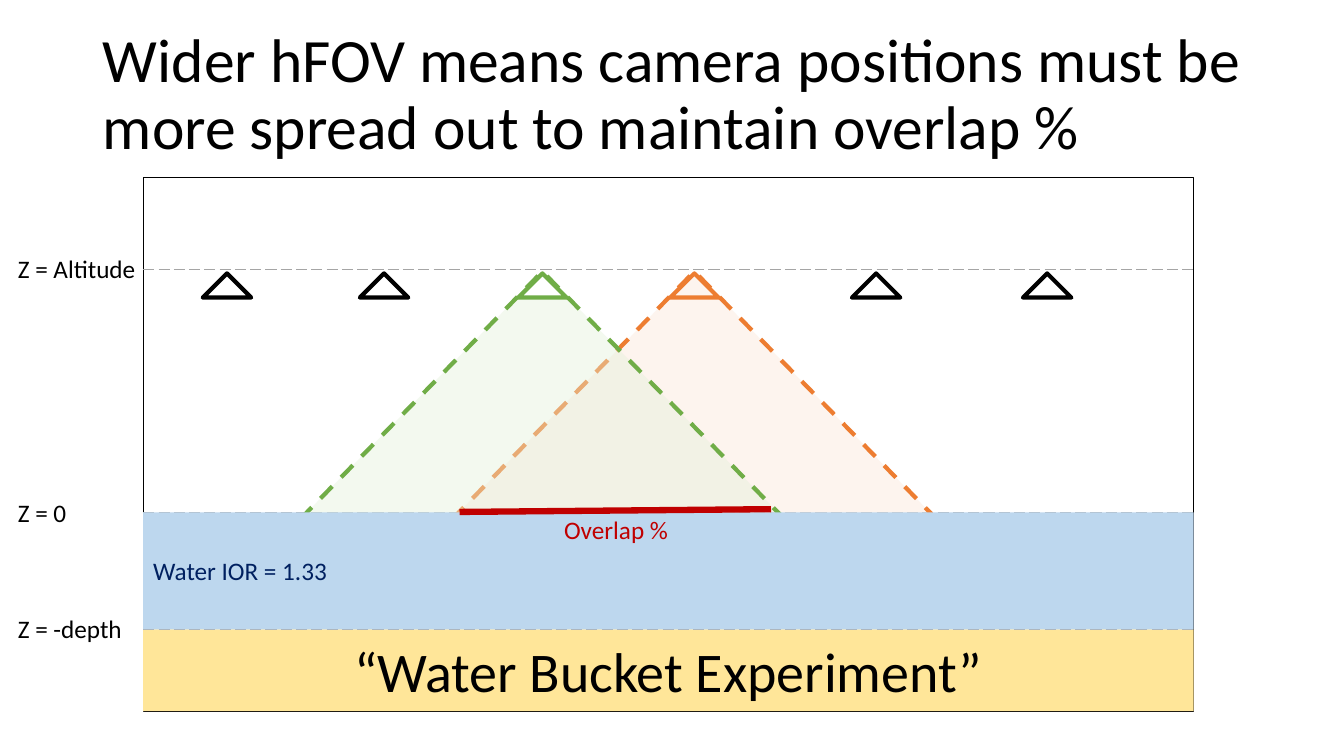
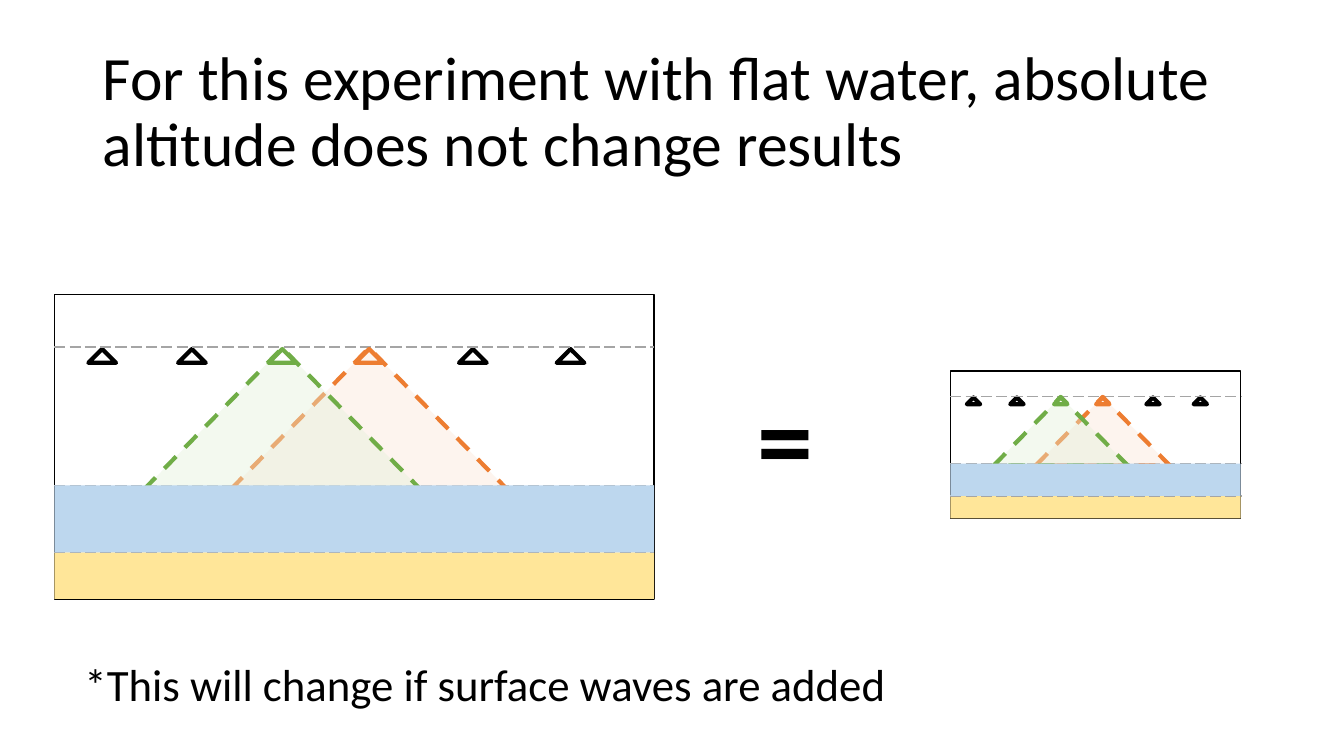
from lxml import etree
from pptx import Presentation
from pptx.dml.color import RGBColor
from pptx.enum import dml, shapes, text
from pptx.oxml import ns
from pptx.util import Cm, Pt

# Shared style
FONT = "Calibri"
BLACK = RGBColor(0x00, 0x00, 0x00)
WHITE = RGBColor(0xFF, 0xFF, 0xFF)
GREY = RGBColor(0xA5, 0xA5, 0xA5)
GREEN = RGBColor(0x70, 0xAD, 0x47)
PALE_GREEN = RGBColor(0xE2, 0xF0, 0xD9)
ORANGE = RGBColor(0xED, 0x7D, 0x31)
PALE_ORANGE = RGBColor(0xFB, 0xE5, 0xD6)
WATER = RGBColor(0xBD, 0xD7, 0xEE)
SAND = RGBColor(0xFF, 0xE6, 0x99)
NAVY = RGBColor(0x00, 0x20, 0x60)
RED = RGBColor(0xC0, 0x00, 0x00)

# Full-size scene geometry, in cm from the top left corner of the tank
TANK_W, TANK_H = 26.47, 13.44
ALTITUDE, SURFACE, SEABED = 2.31, 8.43, 11.38
CAMERA_W, CAMERA_H, CAMERA_TOP = 1.22, 0.61, 2.41
CONE_W, CONE_H, CONE_TOP = 12.22, 6.25, 2.36
IDLE_CAMERAS = (2.11, 6.07, 18.47, 22.78)
GREEN_CAMERA, ORANGE_CAMERA = 10.06, 13.89


def write(frame, wording, size, color=BLACK, align=text.PP_ALIGN.LEFT,
          anchor=text.MSO_ANCHOR.MIDDLE, spacing=None, bold=False):
    """Put one formatted run into a text frame."""
    frame.vertical_anchor = anchor
    paragraph = frame.paragraphs[0]
    paragraph.alignment = align
    if spacing:
        paragraph.line_spacing = spacing
    run = paragraph.add_run()
    run.text = wording
    run.font.name, run.font.size, run.font.bold = FONT, Pt(size), bold
    run.font.color.rgb = color


def add_title(slide, wording, top):
    title = slide.shapes.title
    title.left, title.top = Cm(2.34), Cm(top)
    title.width, title.height = Cm(29.21), Cm(3.68)
    title.text_frame.word_wrap = True
    title.text_frame.auto_size = text.MSO_AUTO_SIZE.NONE
    write(title.text_frame, wording, 44, spacing=0.9)


def add_text(slide, box, wording, size, wrap=True, **style):
    frame = slide.shapes.add_textbox(*map(Cm, box)).text_frame
    frame.word_wrap = wrap
    write(frame, wording, size, **style)


def add_label(slide, box, wording, **style):
    add_text(slide, box, wording, 18, anchor=text.MSO_ANCHOR.TOP, **style)


def add_figure(target, kind, box, fill=None, opacity=None, line=None,
               width=1, dash=None):
    figure = target.add_shape(kind, *map(Cm, box))
    figure.shadow.inherit = False
    if fill is None:
        figure.fill.background()
    else:
        figure.fill.solid()
        figure.fill.fore_color.rgb = fill
    if opacity is not None:
        color = figure.fill._xPr.find(".//" + ns.qn("a:srgbClr"))
        etree.SubElement(color, ns.qn("a:alpha"), val=str(opacity * 1000))
    if line is None:
        figure.line.fill.background()
    else:
        figure.line.color.rgb = line
        figure.line.width = Pt(width)
        figure.line.dash_style = dash
    return figure


def add_line(target, ends, color, width, dash=None):
    line = target.add_connector(shapes.MSO_CONNECTOR.STRAIGHT, *map(Cm, ends))
    line.line.color.rgb = color
    line.line.width = Pt(width)
    line.line.dash_style = dash
    etree.SubElement(line._element.spPr, ns.qn("a:effectLst"))


def draw_scene(target, left, top, scale=1):
    """Draw the tank with its cameras; return the water and the seabed."""
    rectangle = shapes.MSO_SHAPE.RECTANGLE
    triangle = shapes.MSO_SHAPE.ISOSCELES_TRIANGLE

    def place(x, y, width, height):
        return left + x * scale, top + y * scale, width * scale, height * scale

    def camera(center, color, fill=None):
        box = place(center - CAMERA_W / 2, CAMERA_TOP, CAMERA_W, CAMERA_H)
        add_figure(target, triangle, box, fill, line=color, width=3)

    def cone(center, color, fill):
        box = place(center - CONE_W / 2, CONE_TOP, CONE_W, CONE_H)
        add_figure(target, triangle, box, fill, 40, color, 3,
                   dml.MSO_LINE.DASH)

    # Tank and idle cameras
    add_figure(target, rectangle, place(0, 0, TANK_W, TANK_H), line=BLACK)
    seabed = add_figure(target, rectangle,
                        place(0, SEABED, TANK_W, TANK_H - SEABED), SAND)
    for center in IDLE_CAMERAS:
        camera(center, BLACK)

    # Levels
    for level in (ALTITUDE, SURFACE, SEABED):
        x, y, width, _ = place(0, level, TANK_W, 0)
        add_line(target, (x, y, x + width, y), GREY, 1, dml.MSO_LINE.LONG_DASH)

    # Fields of view, with the water hiding their lower edges
    cone(ORANGE_CAMERA, ORANGE, PALE_ORANGE)
    cone(GREEN_CAMERA, GREEN, PALE_GREEN)
    water = add_figure(target, rectangle,
                       place(0, SURFACE, TANK_W, SEABED - SURFACE), WATER)
    camera(GREEN_CAMERA, GREEN, WHITE)
    camera(ORANGE_CAMERA, ORANGE)
    return water, seabed


def build_overlap_slide(slide):
    add_title(slide, "Wider hFOV means camera positions must be more spread "
                     "out to maintain overlap %", 0.58)
    water, seabed = draw_scene(slide.shapes, 3.61, 4.48)
    write(water.text_frame, "Water IOR = 1.33", 18, NAVY)
    write(seabed.text_frame, "“Water Bucket Experiment”", 40,
          align=text.PP_ALIGN.CENTER)

    # Level names
    for top, width, name in ((6.25, 3.51, "Z = Altitude"),
                             (12.4, 1.75, "Z = 0"),
                             (15.34, 3.18, "Z = -depth")):
        add_label(slide, (0.2, top, width, 1.02), name, wrap=False)

    # Overlap of the two views
    add_label(slide, (13.34, 12.83, 4.37, 1.02), "Overlap %", color=RED,
              align=text.PP_ALIGN.CENTER)
    add_line(slide.shapes, (19.43, 12.83, 11.58, 12.9), RED, 4.5)


def build_altitude_slide(slide):
    add_title(slide, "For this experiment with flat water, absolute altitude "
                     "does not change results", 1.02)
    for left, top, scale in ((1.37, 7.42, 0.571), (23.95, 9.35, 0.2765)):
        draw_scene(slide.shapes.add_group_shape().shapes, left, top, scale)
    add_text(slide, (18.85, 9.93, 2.11, 2.54), "=", 80, spacing=0.9, bold=True)
    add_text(slide, (1.88, 15.47, 29.21, 3.68),
             "*This will change if surface waves are added", 32, spacing=0.9)


def main():
    deck = Presentation()
    deck.slide_width, deck.slide_height = Cm(33.87), Cm(19.05)
    title_only = deck.slide_layouts[5]
    for build in (build_overlap_slide, build_altitude_slide):
        build(deck.slides.add_slide(title_only))
    deck.save("out.pptx")


if __name__ == "__main__":
    main()
